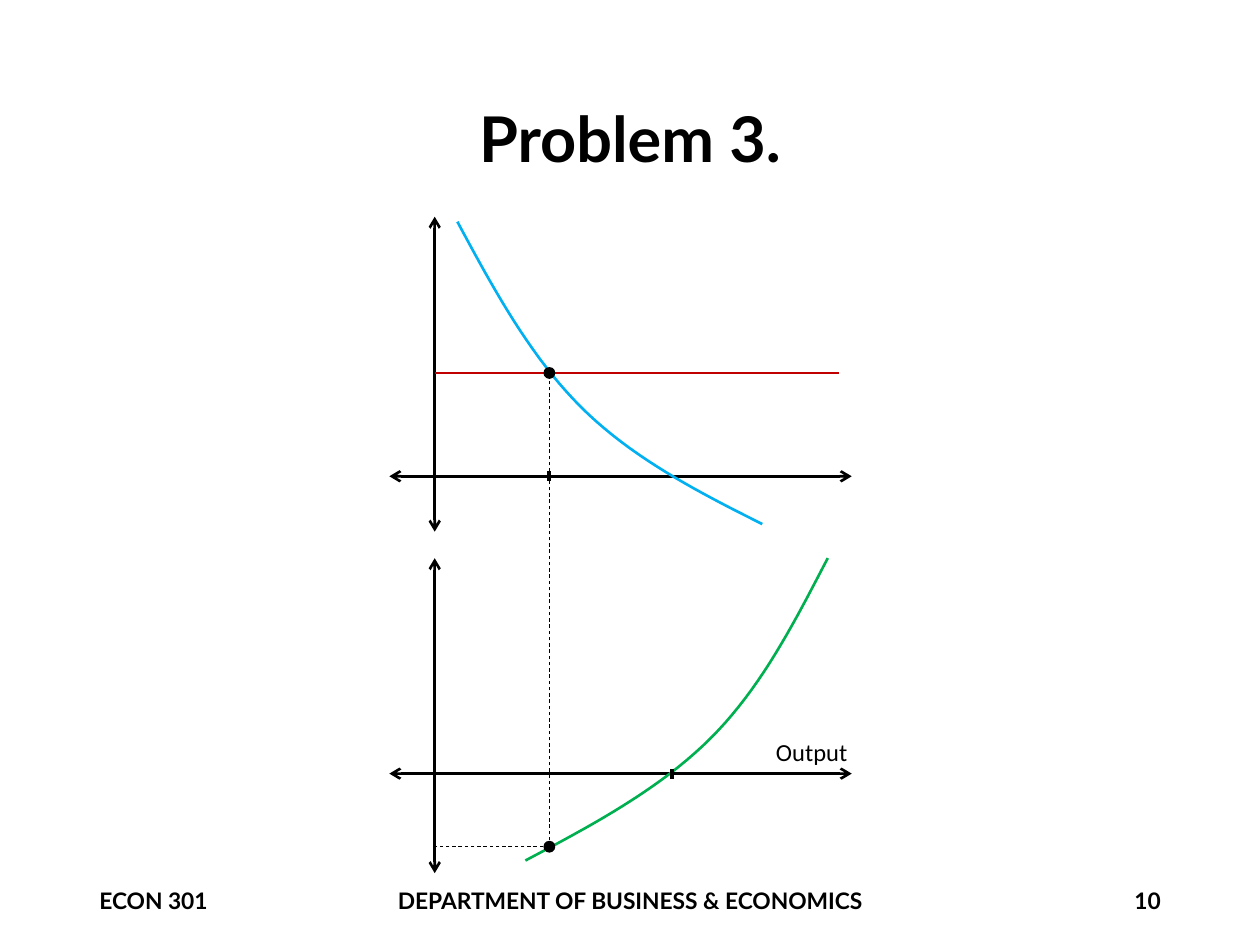
from dataclasses import dataclass

from lxml import etree
from pptx import Presentation
from pptx.dml.color import RGBColor
from pptx.enum.dml import MSO_LINE
from pptx.enum.shapes import MSO_CONNECTOR, MSO_SHAPE
from pptx.enum.text import MSO_ANCHOR, PP_ALIGN
from pptx.oxml.ns import qn
from pptx.util import Inches, Pt


@dataclass(frozen=True)
class Theme:
    heading: str = "Lato"
    body: str = "Calibri"
    black: str = "000000"
    red: str = "C00000"
    blue: str = "00B0F0"
    green: str = "00B050"
    title_size: float = 36
    footer_size: float = 13
    label_size: float = 14
    line: float = 1.5
    tick: float = 2.25
    guide: float = 0.5
    dot_outline: float = 1


THEME = Theme()

TITLE = "Problem 3."
FOOTERS = [  # text, left, width, alignment
    ("ECON 301", 0.69, 2.25, PP_ALIGN.LEFT),
    ("DEPARTMENT OF BUSINESS & ECONOMICS", 1.85, 6.3, PP_ALIGN.CENTER),
    ("10", 7.06, 2.25, PP_ALIGN.RIGHT),
]
AXIS_LABEL = "Output"

ORIGIN_X, AXIS_LEFT, AXIS_RIGHT, AXIS_HEIGHT = 3.45, 3.09, 6.76, 2.5
GRAPHS = [(1.72, 3.78), (4.43, 6.14)]  # top of vertical axis, y of horizontal axis
OPTIMUM_X, ZERO_X = 4.36, 5.33
PRICE_Y, LOSS_Y = 2.96, 6.72
DOT, TICK = 0.08, 0.08

# Each curve is a chain of cubic segments: a start, then two controls and an end
FALLING_CURVE = [(3.63, 1.76), (3.92, 2.3), (4.21, 2.83), (4.61, 3.23),
                 (5.01, 3.63), (5.53, 3.9), (6.05, 4.16)]
RISING_CURVE = [(4.17, 6.83), (4.7, 6.55), (5.24, 6.26), (5.64, 5.86),
                (6.04, 5.46), (6.3, 4.95), (6.57, 4.43)]
STEPS = 20


def add_text(slide, text, box, size, font, bold=False, align=PP_ALIGN.LEFT,
             anchor=MSO_ANCHOR.MIDDLE, wrap=True, spacing=None):
    frame = slide.shapes.add_textbox(*map(Inches, box)).text_frame
    frame.word_wrap = wrap
    frame.vertical_anchor = anchor
    paragraph = frame.paragraphs[0]
    paragraph.alignment = align
    if spacing:
        paragraph.line_spacing = spacing
    run = paragraph.add_run()
    run.text = text
    run.font.name = font
    run.font.size = Pt(size)
    run.font.bold = bold
    run.font.color.rgb = RGBColor.from_string(THEME.black)


def style_line(line, color, width):
    line.color.rgb = RGBColor.from_string(color)
    line.width = Pt(width)


def add_line(slide, start, end, width=THEME.line, color=THEME.black,
             dashed=False, arrows=False):
    connector = slide.shapes.add_connector(
        MSO_CONNECTOR.STRAIGHT, *map(Inches, (*start, *end)))
    style_line(connector.line, color, width)
    if dashed:
        connector.line.dash_style = MSO_LINE.DASH
    properties = connector._element.spPr
    if arrows:
        outline = properties.find(qn("a:ln"))
        for tag in ("a:headEnd", "a:tailEnd"):
            etree.SubElement(outline, qn(tag), type="arrow")
    etree.SubElement(properties, qn("a:effectLst"))


def curve_points(knots):
    """Sample the chained cubic segments, leaving out the start."""
    for i in range(0, len(knots) - 1, 3):
        segment = knots[i:i + 4]
        for step in range(1, STEPS + 1):
            t = step / STEPS
            weights = ((1 - t) ** 3, 3 * t * (1 - t) ** 2, 3 * t ** 2 * (1 - t), t ** 3)
            yield tuple(Inches(sum(w * point[axis] for w, point in zip(weights, segment)))
                        for axis in (0, 1))


def add_curve(slide, knots, color):
    builder = slide.shapes.build_freeform(*map(Inches, knots[0]))
    builder.add_line_segments(curve_points(knots), close=False)
    curve = builder.convert_to_shape()
    curve.shadow.inherit = False
    curve.fill.background()
    style_line(curve.line, color, THEME.line)


def add_dot(slide, x, y):
    dot = slide.shapes.add_shape(
        MSO_SHAPE.OVAL, Inches(x - DOT / 2), Inches(y - DOT / 2), Inches(DOT), Inches(DOT))
    dot.shadow.inherit = False
    dot.fill.solid()
    dot.fill.fore_color.rgb = RGBColor.from_string(THEME.black)
    style_line(dot.line, THEME.black, THEME.dot_outline)


def main():
    deck = Presentation()
    deck.slide_width, deck.slide_height = Inches(10), Inches(7.5)
    slide = deck.slides.add_slide(deck.slide_layouts[6])

    add_text(slide, TITLE, (0.69, 0.4, 8.62, 1.45), THEME.title_size, THEME.heading,
             bold=True, align=PP_ALIGN.CENTER, spacing=0.9)
    for text, left, width, align in FOOTERS:
        add_text(slide, text, (left, 6.95, width, 0.4), THEME.footer_size,
                 THEME.heading, bold=True, align=align)

    for top, axis_y in GRAPHS:
        add_line(slide, (ORIGIN_X, top), (ORIGIN_X, top + AXIS_HEIGHT), arrows=True)
        add_line(slide, (AXIS_LEFT, axis_y), (AXIS_RIGHT, axis_y), arrows=True)

    add_line(slide, (ORIGIN_X, PRICE_Y), (6.66, PRICE_Y), color=THEME.red)
    add_curve(slide, FALLING_CURVE, THEME.blue)
    add_curve(slide, RISING_CURVE, THEME.green)
    add_text(slide, AXIS_LABEL, (6.06, 5.8, 0.78, 0.34), THEME.label_size, THEME.body,
             anchor=MSO_ANCHOR.TOP, wrap=False)

    for end in ((OPTIMUM_X, PRICE_Y), (ORIGIN_X, LOSS_Y)):
        add_line(slide, (OPTIMUM_X, LOSS_Y), end, THEME.guide, dashed=True)
    for y in (PRICE_Y, LOSS_Y):
        add_dot(slide, OPTIMUM_X, y)
    for x, (_, axis_y) in zip((OPTIMUM_X, ZERO_X), GRAPHS):
        add_line(slide, (x, axis_y - TICK / 2), (x, axis_y + TICK / 2), THEME.tick)

    deck.save("out.pptx")


if __name__ == "__main__":
    main()
